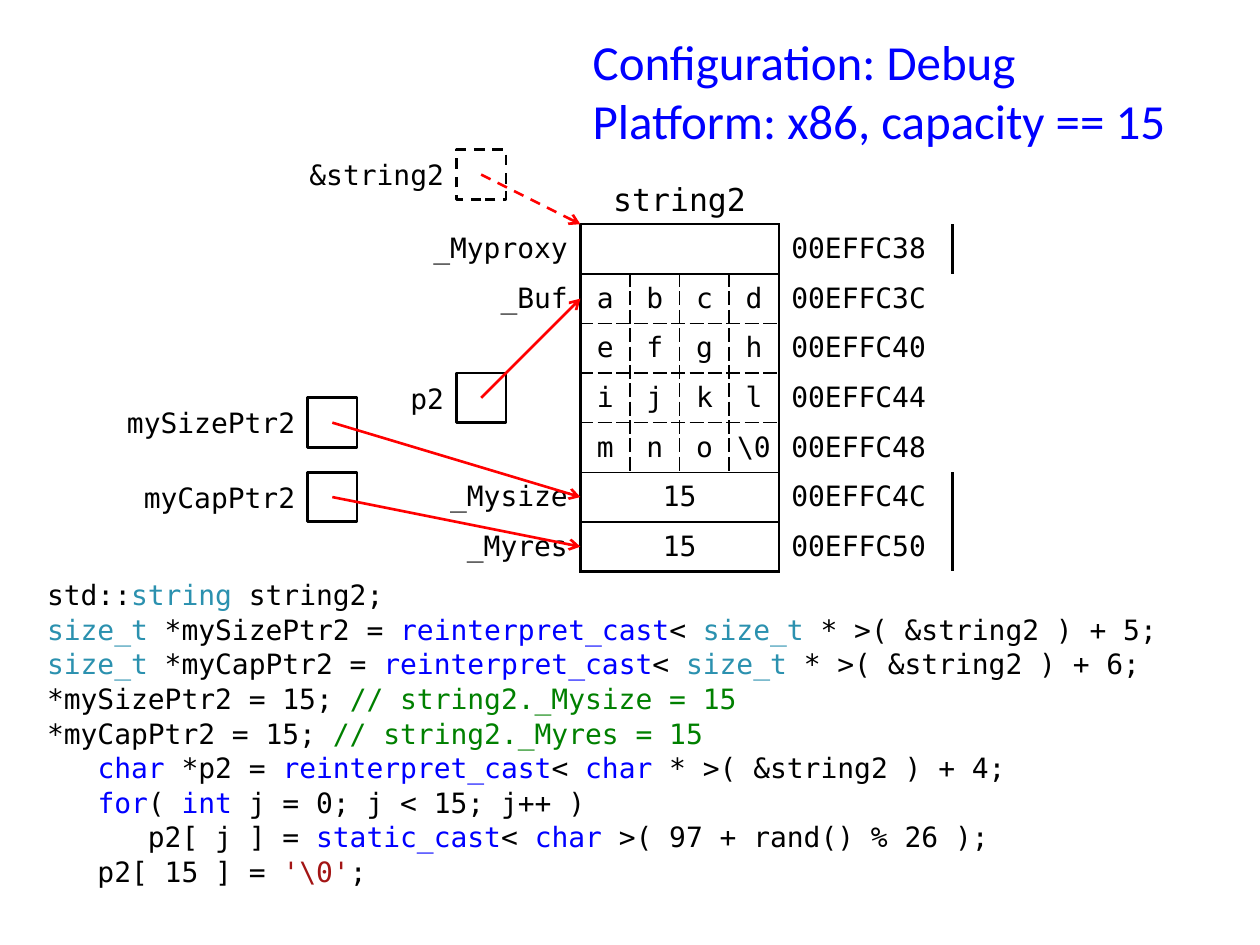
from dataclasses import dataclass

from lxml import etree
from pptx import Presentation
from pptx.dml.color import RGBColor
from pptx.enum.dml import MSO_LINE
from pptx.enum.shapes import MSO_CONNECTOR, MSO_SHAPE
from pptx.enum.text import MSO_ANCHOR, PP_ALIGN
from pptx.oxml.ns import qn
from pptx.util import Cm, Inches, Pt

LEFT, CENTER, RIGHT = PP_ALIGN.LEFT, PP_ALIGN.CENTER, PP_ALIGN.RIGHT
TOP, MIDDLE = MSO_ANCHOR.TOP, MSO_ANCHOR.MIDDLE
DASH = MSO_LINE.DASH
RECTANGLE, STRAIGHT = MSO_SHAPE.RECTANGLE, MSO_CONNECTOR.STRAIGHT
NO_TABLE_STYLE = "{2D5ABB26-0587-4C30-8999-92F81FD0307C}"


@dataclass(frozen=True)
class Theme:
    """Colours, fonts, type sizes and line widths of the slide."""

    plain: str = "000000"
    keyword: str = "0000FF"
    type_name: str = "2B91AF"
    comment: str = "008000"
    literal: str = "A31515"
    arrow: str = "FF0000"
    title_font: str = "Calibri"
    code_font: str = "DejaVu Sans Mono"
    title_size: float = 28
    heading_size: float = 18
    code_size: float = 16
    thick: float = 1.5
    thin: float = 1


THEME = Theme()
ORIGIN_X, ORIGIN_Y = 11.7, 4.52
LABEL_COLUMNS, BYTE_COLUMNS = 3.5, 4

MEMORY_ROWS = [
    ("_Myproxy", [""], "00EFFC38"),
    ("_Buf", ["a", "b", "c", "d"], "00EFFC3C"),
    ("", ["e", "f", "g", "h"], "00EFFC40"),
    ("", ["i", "j", "k", "l"], "00EFFC44"),
    ("", ["m", "n", "o", "\\0"], "00EFFC48"),
    ("_Mysize", ["15"], "00EFFC4C"),
    ("_Myres", ["15"], "00EFFC50"),
]

# (name, box column, box row, label width, target row, dashed)
POINTERS = [
    ("&string2", -2.5, -1.5, 3.5, 0, True),
    ("p2", -2.5, 3, 1.5, 1.5, False),
    ("mySizePtr2", -5.5, 3.5, 4, 5.5, False),
    ("myCapPtr2", -5.5, 5, 4, 6.5, False),
]


def cast_line(kind, role, name, offset, indent=""):
    """Return the runs of a declaration that casts the string address."""
    return [(indent, "plain"), (kind, role), (f" *{name} = ", "plain"),
            ("reinterpret_cast", "keyword"), ("< ", "plain"), (kind, role),
            (f" * >( &string2 ) + {offset};", "plain")]


CODE_LINES = [
    [("std::", "plain"), ("string", "type_name"), (" string2;", "plain")],
    cast_line("size_t", "type_name", "mySizePtr2", 5),
    cast_line("size_t", "type_name", "myCapPtr2", 6),
    [("*mySizePtr2 = 15; ", "plain"), ("// string2._Mysize = 15", "comment")],
    [("*myCapPtr2 = 15; ", "plain"), ("// string2._Myres = 15", "comment")],
    cast_line("char", "keyword", "p2", 4, "   "),
    [("   ", "plain"), ("for", "keyword"), ("( ", "plain"), ("int", "keyword"),
     (" j = 0; j < 15; j++ )", "plain")],
    [("      p2[ j ] = ", "plain"), ("static_cast", "keyword"), ("< ", "plain"),
     ("char", "keyword"), (" >( 97 + rand() % 26 );", "plain")],
    [("   p2[ 15 ] = ", "plain"), ("'\\0'", "literal"), (";", "plain")],
]


def at(column, row):
    """Return the slide position of a grid point counted from the string2 corner."""
    return Cm(ORIGIN_X + column), Cm(ORIGIN_Y + row)


def style_run(run, size=THEME.code_size, font=THEME.code_font, color=THEME.plain):
    """Set the font, size and colour of a run."""
    run.font.name = font
    run.font.size = Pt(size)
    run.font.color.rgb = RGBColor.from_string(color)


def add_text(slide, text, place, extent, align=LEFT, anchor=MIDDLE, **style):
    """Add a text box on the grid and return its text frame."""
    text_frame = slide.shapes.add_textbox(*at(*place), *map(Cm, extent)).text_frame
    text_frame.word_wrap = True
    text_frame.vertical_anchor = anchor
    text_frame.text = text
    paragraph = text_frame.paragraphs[0]
    paragraph.alignment = align
    for run in paragraph.runs:
        style_run(run, **style)
    return text_frame


def add_code(slide):
    """Add the listing with coloured syntax."""
    text_frame = add_text(slide, "", (-11, 7), (24, 6.5), anchor=TOP)
    for index, pieces in enumerate(CODE_LINES):
        paragraph = text_frame.add_paragraph() if index else text_frame.paragraphs[0]
        paragraph.space_after = Pt(0.6)
        for text, role in pieces:
            if text:
                run = paragraph.add_run()
                run.text = text
                style_run(run, color=getattr(THEME, role))


def set_border(cell, side, width, dashed=False):
    """Draw one side (L, R, T or B) of a table cell."""
    properties = cell._tc.get_or_add_tcPr()
    line = etree.SubElement(properties, qn(f"a:ln{side}"), w=str(Pt(width)))
    fill = etree.SubElement(line, qn("a:solidFill"))
    etree.SubElement(fill, qn("a:srgbClr"), val=THEME.plain)
    etree.SubElement(line, qn("a:prstDash"), val="sysDash" if dashed else "solid")


def fill_cell(cell, text, align, side_margin, borders):
    """Write a table cell and draw its borders."""
    for side, (width, dashed) in borders.items():
        set_border(cell, side, width, dashed)
    cell.fill.background()
    cell.vertical_anchor = MIDDLE
    cell.margin_left = cell.margin_right = Inches(side_margin)
    cell.margin_top = cell.margin_bottom = Inches(0.04)
    cell.text = text
    paragraph = cell.text_frame.paragraphs[0]
    paragraph.alignment = align
    for run in paragraph.runs:
        style_run(run)


def add_memory_table(slide):
    """Add the memory layout with member names, bytes and addresses."""
    widths = [LABEL_COLUMNS] + [1] * BYTE_COLUMNS + [LABEL_COLUMNS]
    count = len(MEMORY_ROWS)
    table = slide.shapes.add_table(count, len(widths), *at(-LABEL_COLUMNS, 0),
                                   Cm(sum(widths)), Cm(count)).table
    table.first_row = table.horz_banding = False
    table._tbl.tblPr.find(qn("a:tableStyleId")).text = NO_TABLE_STYLE
    for column, width in zip(table.columns, widths):
        column.width = Cm(width)
    outer, solid, dashed = (THEME.thick, False), (THEME.thin, False), (THEME.thin, True)
    split = [len(values) > 1 for _, values, _ in MEMORY_ROWS]
    edges = [outer] + [dashed if above and below else solid
                       for above, below in zip(split, split[1:])] + [outer]
    for row, (name, values, address) in enumerate(MEMORY_ROWS):
        table.rows[row].height = Cm(1)
        fill_cell(table.cell(row, 0), name, RIGHT, 0.1, {"R": outer})
        if not split[row]:
            table.cell(row, 1).merge(table.cell(row, BYTE_COLUMNS))
        for index, value in enumerate(values):
            borders = {"L": dashed if index else outer,
                       "R": dashed if index < len(values) - 1 else outer,
                       "T": edges[row], "B": edges[row + 1]}
            fill_cell(table.cell(row, index + 1), value, CENTER, 0, borders)
        fill_cell(table.cell(row, BYTE_COLUMNS + 1), address, LEFT, 0.1, {"L": outer})


def style_line(line, color, dashed):
    """Set the colour, width and dash of an outline or arrow."""
    line.color.rgb = RGBColor.from_string(color)
    line.width = Pt(THEME.thick)
    if dashed:
        line.dash_style = DASH


def add_pointer(slide, name, column, row, label_width, target_row, dashed):
    """Add a labelled pointer box and the arrow to its target row."""
    add_text(slide, name, (column - label_width, row), (label_width, 1), RIGHT)
    box = slide.shapes.add_shape(RECTANGLE, *at(column, row), Cm(1), Cm(1))
    box.shadow.inherit = False
    box.fill.background()
    style_line(box.line, THEME.plain, dashed)
    arrow = slide.shapes.add_connector(STRAIGHT, *at(column + 0.5, row + 0.5),
                                       *at(0, target_row))
    style_line(arrow.line, THEME.arrow, dashed)
    properties = arrow._element.spPr
    etree.SubElement(properties.find(qn("a:ln")), qn("a:tailEnd"), type="arrow")
    etree.SubElement(properties, qn("a:effectLst"))


def main():
    """Build and save the slide."""
    presentation = Presentation()
    presentation.slide_width, presentation.slide_height = Inches(10), Inches(7.5)
    slide = presentation.slides.add_slide(presentation.slide_layouts[6])
    add_code(slide)
    add_text(slide, "Configuration: Debug\vPlatform: x86, capacity == 15", (0, -4),
             (12.5, 2.5), anchor=TOP, size=THEME.title_size, font=THEME.title_font,
             color=THEME.keyword)
    add_memory_table(slide)
    add_text(slide, "string2", (0, -1), (BYTE_COLUMNS, 1), CENTER,
             size=THEME.heading_size)
    for pointer in POINTERS:
        add_pointer(slide, *pointer)
    presentation.save("out.pptx")


if __name__ == "__main__":
    main()
